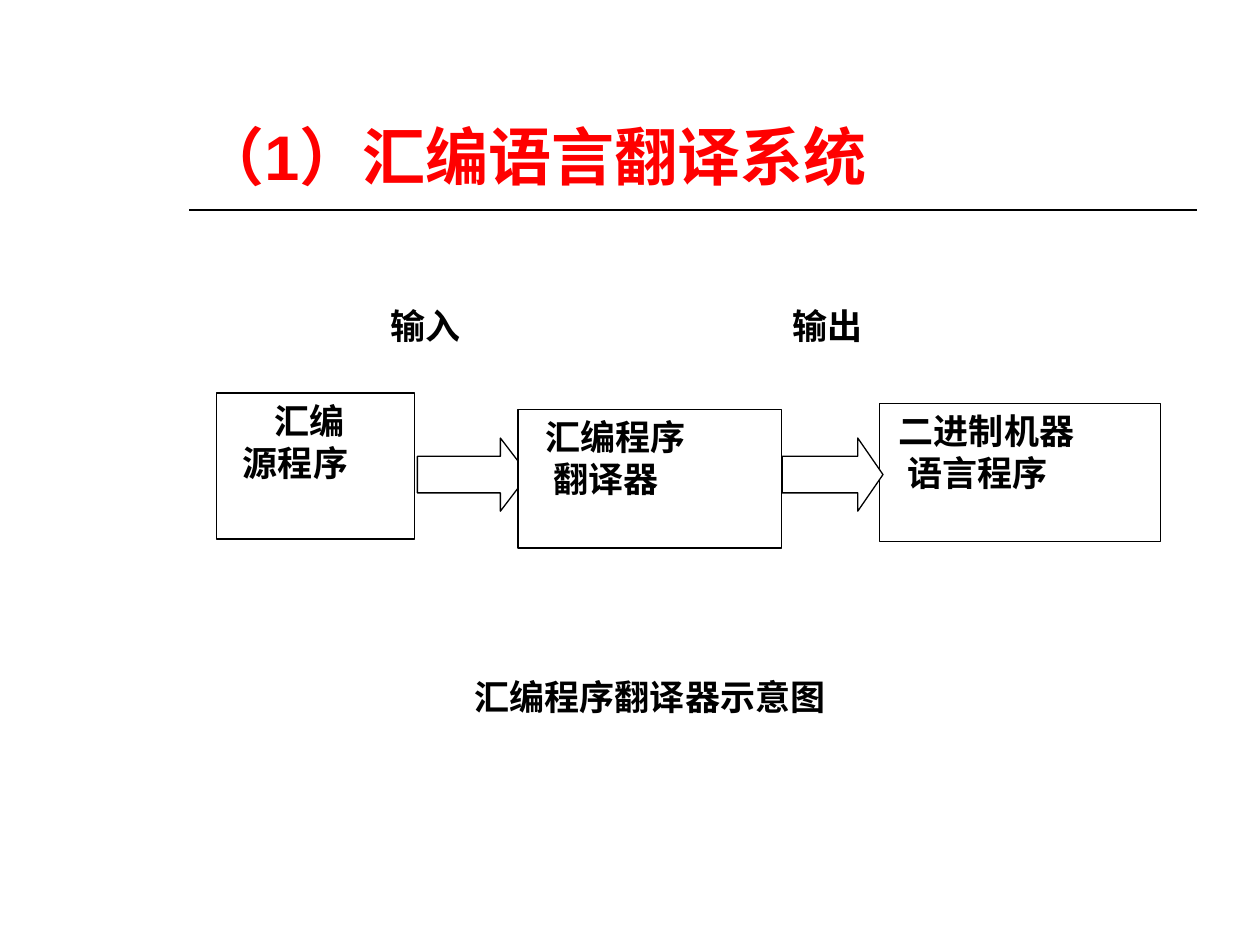
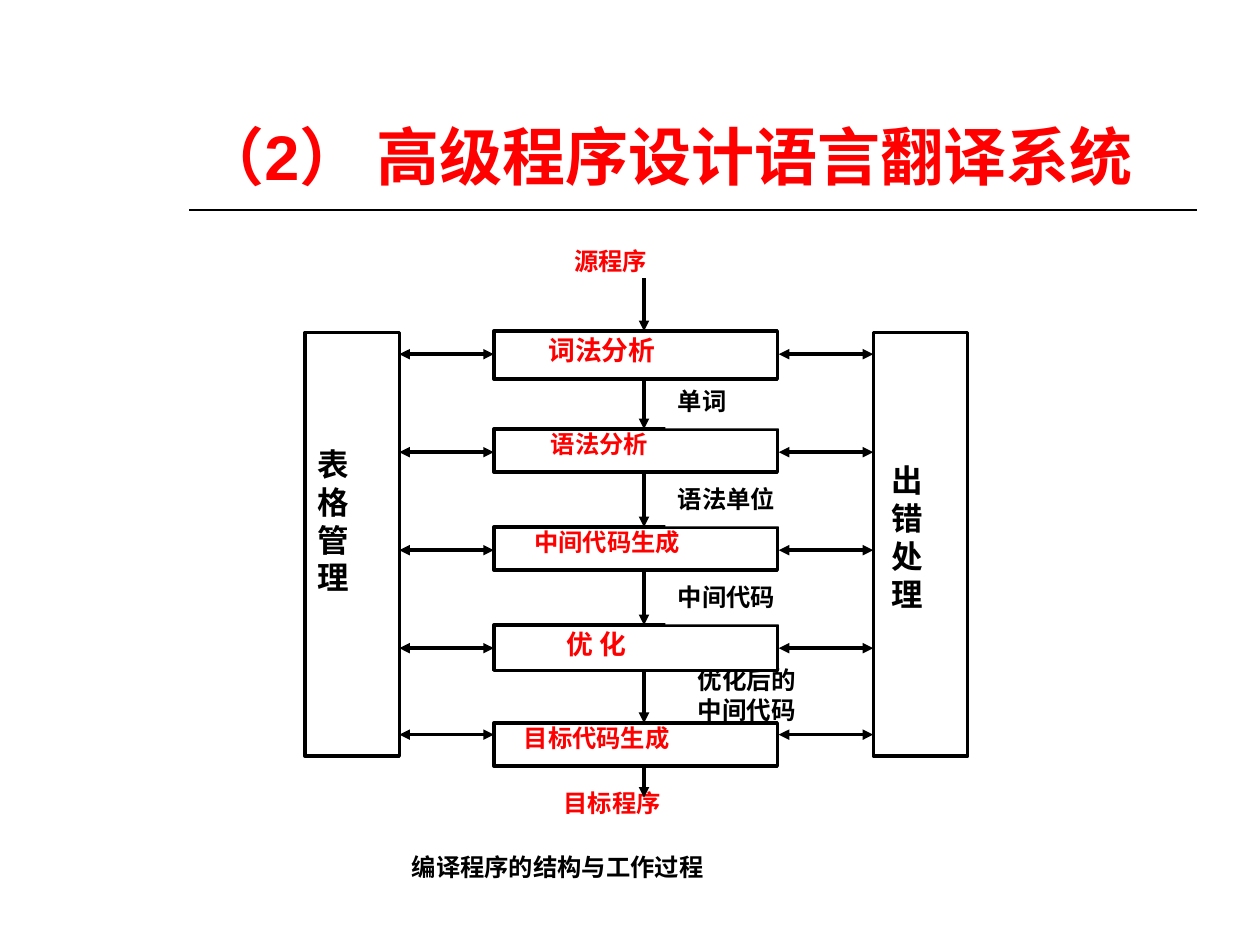
from lxml.etree import SubElement
from pptx import Presentation
from pptx.dml.color import RGBColor
from pptx.enum.shapes import MSO_CONNECTOR, MSO_SHAPE
from pptx.enum.text import MSO_ANCHOR, PP_ALIGN
from pptx.oxml.ns import qn
from pptx.util import Pt

# Shared look
COLORS = {"title": "FF0000", "accent": "FF0000", "text": "000000",
          "line": "000000", "paper": "FFFFFF"}
LATIN, CJK = "Arial", "Noto Sans CJK SC"
INSET_X, INSET_Y = 7.2, 3.6

# Slide 1: boxes as (left, top, width, height), lines as (text, indent)
ASSEMBLER_TITLE = "（1）汇编语言翻译系统"
SOURCE = ((123.8, 224.6, 113, 83.5), [("汇编", 26), ("源程序", 8)])
TRANSLATOR = ((296, 234, 150.5, 79.2), [("汇编程序", 8.5), ("翻译器", 13)])
MACHINE_CODE = ((502.6, 230.4, 160.6, 79.2), [("二进制机器", 4), ("语言程序", 8.7)])
INPUT_ARROW = ((238.5, 250.3, 63.4, 41.8), 0.382)
OUTPUT_ARROW = ((447, 250.3, 57.6, 41.8), 0.345)
FLOW_LABELS = [("输入", (216, 146.2, 87.8, 62.6)), ("输出", (445.7, 146.2, 74.9, 62.6))]
ASSEMBLER_CAPTION = ("汇编程序翻译器示意图", (264.2, 382.3, 313.2, 83.5))

# Slide 2: stages as (text, indent, height, size, line spacing)
COMPILER_TITLE = "（2） 高级程序设计语言翻译系统"
STAGES = [
    ("词法分析", 24, 27.4, 15.3, 0.9),
    ("语法分析", 25.5, 24.5, 13.9, 0.8),
    ("中间代码生成", 16, 24.5, 13.9, 0.8),
    ("优 化", 34.5, 25.9, 15.3, 0.9),
    ("目标代码生成", 10, 24.5, 13.9, 0.8),
]
STAGE_LEFT, STAGE_TOP, STAGE_WIDTH, STAGE_PITCH = 282.2, 189.2, 162, 56
FLOW_X = 368
ENDS = [("目标程序", 19, (295.9, 450, 162, 24.5)), ("源程序", 28, (293, 140.4, 162, 24.5))]
RESULTS = [("单词", 75.6), ("语法单位", 108), ("中间代码", 108)]
OPTIMIZED = (["优化后的", "中间代码"], (391.7, 376.6, 86.4, 43.2))
# Panels as (lines, indent, left, top inset)
PANELS = [(["出", "错", "处", "理"], 3.5, 499, 73.7), (["表 格", "管 理"], 0, 174.2, 64.3)]
PANEL_TOP, PANEL_WIDTH, PANEL_HEIGHT = 190, 54, 242
LINK_YS = [202.4, 258.4, 314.4, 370.4, 419.8]
COMPILER_CAPTION = ("编译程序的结构与工作过程", (228.2, 486.7, 367.9, 24.5))


def rgb(name):
    return RGBColor.from_string(COLORS[name])


def write(tf, lines, size, color="text", font=LATIN, spacing=None, top=INSET_Y):
    """Write lines given as text or as (text, indent)."""
    tf.word_wrap = True
    tf.margin_left = tf.margin_right = Pt(INSET_X)
    tf.margin_top, tf.margin_bottom = Pt(top), Pt(INSET_Y)
    for i, line in enumerate(lines):
        text, indent = (line, 0) if isinstance(line, str) else line
        p = tf.add_paragraph() if i else tf.paragraphs[0]
        p.text = text
        p.alignment = PP_ALIGN.LEFT
        if spacing:
            p.line_spacing = spacing
        if indent:
            p._p.get_or_add_pPr().set("marL", str(Pt(indent)))
        p.font.name, p.font.size, p.font.bold = font, Pt(size), True
        p.font.color.rgb = rgb(color)


def add_box(s, box, lines=(), size=20, border=None, kind=MSO_SHAPE.RECTANGLE, **style):
    sp = s.shapes.add_shape(kind, *map(Pt, box))
    sp.shadow.inherit = False
    sp.fill.solid()
    sp.fill.fore_color.rgb = rgb("paper")
    if border:
        sp.line.color.rgb = rgb("line")
        sp.line.width = Pt(border)
    else:
        sp.line.fill.background()
    sp.text_frame.vertical_anchor = MSO_ANCHOR.TOP
    if lines:
        write(sp.text_frame, lines, size, **style)
    return sp


def add_block_arrow(s, box, head):
    sp = add_box(s, box, border=0.75, kind=MSO_SHAPE.RIGHT_ARROW)
    sp.adjustments[0], sp.adjustments[1] = 0.5, head


def add_line(s, x1, y1, x2, y2, width=2, ends=()):
    c = s.shapes.add_connector(MSO_CONNECTOR.STRAIGHT, *map(Pt, (x1, y1, x2, y2)))
    c.line.color.rgb = rgb("line")
    c.line.width = Pt(width)
    for end in ends:
        SubElement(c.line._get_or_add_ln(), qn(f"a:{end}"), type="triangle")
    SubElement(c._element.spPr, qn("a:effectLst"))


def add_slide(prs, title):
    s = prs.slides.add_slide(prs.slide_layouts[6])
    add_line(s, 108, 120, 684, 120, width=1)
    tf = s.shapes.add_textbox(*map(Pt, (108, 24, 576, 90))).text_frame
    tf.vertical_anchor = MSO_ANCHOR.BOTTOM
    write(tf, [title], 36, "title")
    return s


def build_assembler(prs):
    s = add_slide(prs, ASSEMBLER_TITLE)

    def program(part):
        box, lines = part
        add_box(s, box, lines, border=0.75, font=CJK)

    # The translator covers the tip of the input arrow
    program(SOURCE)
    add_block_arrow(s, *INPUT_ARROW)
    program(MACHINE_CODE)
    program(TRANSLATOR)
    for text, box in FLOW_LABELS:
        add_box(s, box, [text], font=CJK, top=27.6)
    add_block_arrow(s, *OUTPUT_ARROW)
    text, box = ASSEMBLER_CAPTION
    add_box(s, box, [text], font=CJK)


def build_compiler(prs):
    s = add_slide(prs, COMPILER_TITLE)
    tops = [STAGE_TOP + i * STAGE_PITCH for i in range(len(STAGES))]
    bottoms = [top + stage[2] for top, stage in zip(tops, STAGES)]

    # Source and target programs, optimized code
    for text, indent, box in ENDS:
        add_box(s, box, [(text, indent)], 13.9, color="accent", spacing=0.8)
    lines, box = OPTIMIZED
    add_box(s, box, lines, 14)

    # Stages and the flow between them
    for top, (text, indent, height, size, spacing) in zip(tops, STAGES):
        add_box(s, (STAGE_LEFT, top, STAGE_WIDTH, height), [(text, indent)], size,
                border=2, color="accent", spacing=spacing)
    for start, end in zip([159] + bottoms, tops + [455.8]):
        add_line(s, FLOW_X, start, FLOW_X, end, ends=["tailEnd"])
    for i, (text, width) in enumerate(RESULTS):
        box = (380.2, 220.4 + i * STAGE_PITCH, width, 24.5)
        add_box(s, box, [text], 13.9, spacing=0.8)

    # Side panels and their links to the stages
    for chars, indent, left, top in PANELS:
        add_box(s, (left, PANEL_TOP, PANEL_WIDTH, PANEL_HEIGHT),
                [(c, indent) for c in chars], 18, border=2, top=top)
    for x in (228.2, 445):
        for y in LINK_YS:
            add_line(s, x, y, x + 54, y, ends=["headEnd", "tailEnd"])

    text, box = COMPILER_CAPTION
    add_box(s, box, [text], 13.9, spacing=0.8)


def main():
    prs = Presentation()
    prs.slide_width, prs.slide_height = Pt(720), Pt(540)
    build_assembler(prs)
    build_compiler(prs)
    prs.save("out.pptx")


if __name__ == "__main__":
    main()
